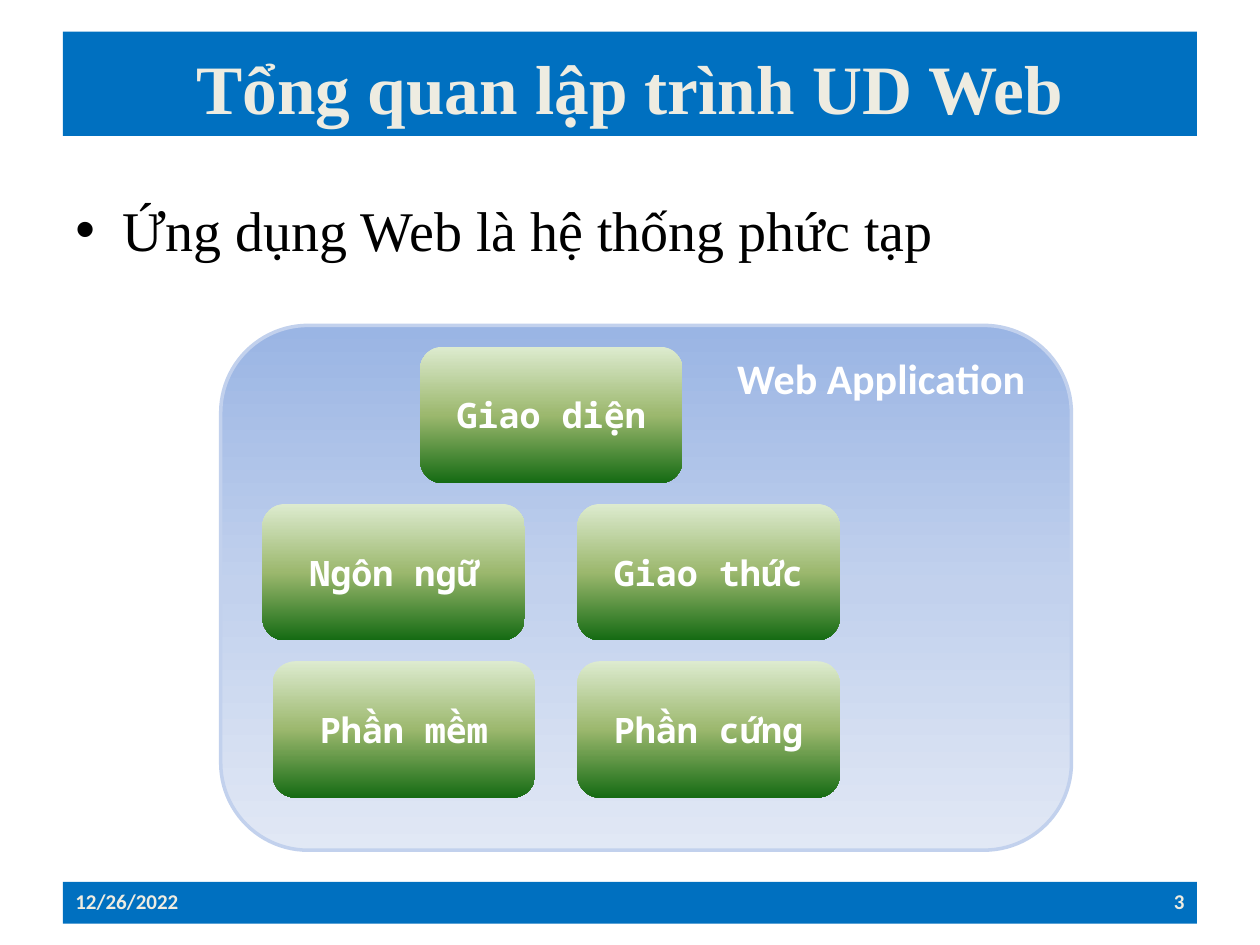
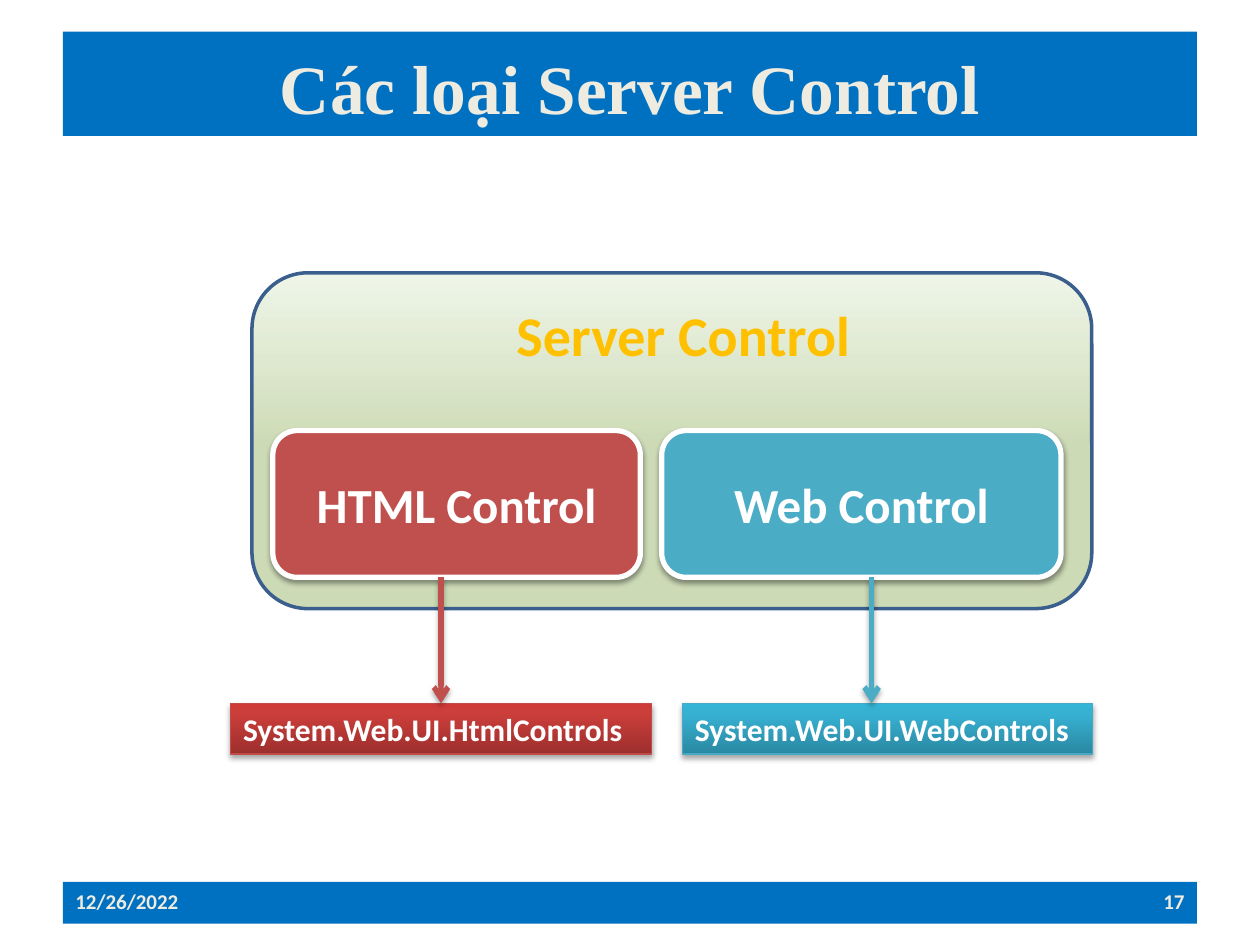
from lxml.etree import SubElement
from pptx import Presentation
from pptx.dml.color import RGBColor
from pptx.enum.shapes import MSO_CONNECTOR, MSO_SHAPE
from pptx.enum.text import MSO_ANCHOR, PP_ALIGN
from pptx.oxml.ns import qn
from pptx.util import Cm, Pt

BAND, CREAM, WHITE = "0070C0", "EEECE1", "FFFFFF"
MARGIN, CONTENT_WIDTH = 1.27, 22.86
DATE = "12/26/2022"

TITLE = {"name": "Times New Roman", "size": 39.6, "bold": True, "color": CREAM}
BODY = {"name": "Times New Roman", "size": 32, "bold": False, "color": "000000"}
FOOTER = {"name": "Calibri", "size": 12, "bold": True, "color": CREAM}
PART = {"name": "Noto Sans Mono", "size": 20, "bold": True, "color": WHITE}
CAPTION = FOOTER | {"size": 24, "color": WHITE}
HEADING = FOOTER | {"size": 32, "color": "FFC000"}
CONTROL = CAPTION | {"size": 28}
NAMESPACE = CAPTION | {"size": 18}

# Gradient stops: position, colour and, where needed, opacity in percent
SKY = [(0, "9AB5E4"), (50, "C2D1ED"), (100, "E1E8F5")]
LEAF = [(0, "DDEBCF"), (50, "9CB86E"), (100, "156B13")]
PALE_LEAF = [(0, "DDEBCF", 44), (50, "9CB86E", 50)]
RED = [(0, "9C2F2D"), (80, "CB3E3A"), (100, "CE3B37")]
TEAL = [(0, "2A88A2"), (80, "37B1D2"), (100, "34B4D6")]
DOWNWARD, UPWARD = 270, 90


def rgb(hex_string):
    return RGBColor.from_string(hex_string)


def add_color(parent, color, opacity=100):
    node = SubElement(parent, qn("a:srgbClr"), val=color)
    if opacity < 100:
        SubElement(node, qn("a:alpha"), val=str(opacity * 1000))


def add_shadow(effects, opacity, distance):
    """Drop a soft black shadow straight down; distance is in points."""
    shadow = SubElement(effects, qn("a:outerShdw"), blurRad=str(Pt(3.1)),
                        dist=str(Pt(distance)), dir="5400000", rotWithShape="0")
    add_color(shadow, "000000", opacity)


class Deck:
    def __init__(self):
        self.presentation = Presentation()
        self.presentation.slide_width = Cm(25.4)
        self.presentation.slide_height = Cm(19.05)
        self.slide = None

    def new_slide(self, title, number):
        blank = self.presentation.slide_layouts[6]
        self.slide = self.presentation.slides.add_slide(blank)
        for top, height in ((17.78, 0.84), (0.64, 2.1)):
            self.box((MARGIN, top, CONTENT_WIDTH, height), BAND, shape=MSO_SHAPE.RECTANGLE)
        self.text((MARGIN, 0.76, CONTENT_WIDTH, 1.98), title, TITLE,
                  PP_ALIGN.CENTER, MSO_ANCHOR.MIDDLE)
        for left, words, align in ((MARGIN, DATE, PP_ALIGN.LEFT),
                                   (18.21, str(number), PP_ALIGN.RIGHT)):
            self.text((left, 17.65, 5.92, 1.02), words, FOOTER, align, MSO_ANCHOR.MIDDLE)

    def set_words(self, frame, words, style, align, anchor, wrap=True):
        frame.word_wrap = wrap
        frame.vertical_anchor = anchor
        paragraph = frame.paragraphs[0]
        paragraph.alignment = align
        run = paragraph.add_run()
        run.text = words
        for key, value in style.items():
            if key == "color":
                run.font.color.rgb = rgb(value)
            else:
                setattr(run.font, key, Pt(value) if key == "size" else value)
        return paragraph

    def text(self, place, words, style, align=PP_ALIGN.LEFT,
             anchor=MSO_ANCHOR.TOP, wrap=True):
        frame = self.slide.shapes.add_textbox(*map(Cm, place)).text_frame
        return self.set_words(frame, words, style, align, anchor, wrap)

    def bullet(self, place, words):
        properties = self.text(place, words, BODY)._p.get_or_add_pPr()
        properties.set("marL", str(Cm(0.95)))
        properties.set("indent", str(Cm(-0.95)))
        SubElement(properties, qn("a:buFont"), typeface="Arial")
        SubElement(properties, qn("a:buChar"), char="•")

    def box(self, place, fill, line=None, shadow=None, angle=DOWNWARD,
            shape=MSO_SHAPE.ROUNDED_RECTANGLE):
        """Fill is a colour or a list of stops; line and shadow are value pairs."""
        box = self.slide.shapes.add_shape(shape, *map(Cm, place))
        if isinstance(fill, str):
            box.fill.solid()
            box.fill.fore_color.rgb = rgb(fill)
        else:
            box.fill.gradient()
            box.fill.gradient_angle = angle
            stops = box.element.spPr.find(".//" + qn("a:gsLst"))
            stops.clear()
            for position, *color in fill:
                add_color(SubElement(stops, qn("a:gs"), pos=str(position * 1000)), *color)
        if line:
            box.line.color.rgb = rgb(line[0])
            box.line.width = Pt(line[1])
        else:
            box.line.fill.background()
        box.shadow.inherit = False
        if shadow:
            add_shadow(box.element.spPr.find(qn("a:effectLst")), *shadow)
        return box

    def label(self, box, words, style, align=PP_ALIGN.CENTER, anchor=MSO_ANCHOR.MIDDLE):
        self.set_words(box.text_frame, words, style, align, anchor)

    def arrow(self, x, top, bottom, color, target=None):
        arrow = self.slide.shapes.add_connector(
            MSO_CONNECTOR.STRAIGHT, Cm(x), Cm(top), Cm(x), Cm(bottom))
        if target:
            arrow.end_connect(target, 0)
        arrow.line.color.rgb = rgb(color)
        arrow.line.width = Pt(3)
        properties = arrow.element.spPr
        SubElement(properties.find(qn("a:ln")), qn("a:tailEnd"), type="arrow")
        add_shadow(SubElement(properties, qn("a:effectLst")), 35, 1.8)


def web_overview(deck):
    deck.new_slide("Tổng quan lập trình UD Web", 3)
    deck.bullet((MARGIN, 3.81, CONTENT_WIDTH, 2), "Ứng dụng Web là hệ thống phức tạp")
    deck.box((4.45, 6.56, 17.15, 10.58), SKY, ("C2D1ED", 2))
    first_row, row_pitch = 6.99, 3.17
    for row, left, words in ((2, 11.64, "Phần cứng"), (2, 5.5, "Phần mềm"),
                             (1, 11.64, "Giao thức"), (1, 5.29, "Ngôn ngữ"),
                             (0, 8.47, "Giao diện")):
        part = deck.box((left, first_row + row * row_pitch, 5.29, 2.75), LEAF)
        deck.label(part, words, PART)
    deck.text((14.61, first_row, 6.38, 1.27), "Web Application", CAPTION, wrap=False)


def server_controls(deck):
    deck.new_slide("Các loại Server Control", 17)
    deck.box((5.08, 5.5, 16.93, 6.77), PALE_LEAF, ("3A5F8C", 2))
    control_top, control_height, namespace_top = 8.68, 2.96, 14.18
    for left, width, words, color in ((5.5, 7.41, "HTML Control", "C0504D"),
                                      (13.34, 8.05, "Web Control", "4BACC6")):
        control = deck.box((left, control_top, width, control_height), color,
                           (WHITE, 3), (38, 1.6))
        deck.label(control, words, CONTROL)
    deck.text((10.16, 5.93, 7.32, 1.63), "Server Control", HEADING, wrap=False)

    namespaces = []
    for left, width, words, stops, edge in (
            (4.65, 8.48, "System.Web.UI.HtmlControls", RED, "BF4C48"),
            (13.76, 8.26, "System.Web.UI.WebControls", TEAL, "46AAC5")):
        namespace = deck.box((left, namespace_top, width, 1.02), stops, (edge, 0.75),
                             (35, 1.8), UPWARD, MSO_SHAPE.RECTANGLE)
        deck.label(namespace, words, NAMESPACE, PP_ALIGN.LEFT, MSO_ANCHOR.TOP)
        namespaces.append(namespace)
    control_bottom = control_top + control_height
    deck.arrow(8.89, control_bottom, namespace_top, "C0504D", namespaces[0])
    deck.arrow(17.57, control_bottom, namespace_top, "4BACC6")


def main():
    deck = Deck()
    web_overview(deck)
    server_controls(deck)
    deck.presentation.save("out.pptx")


if __name__ == "__main__":
    main()
